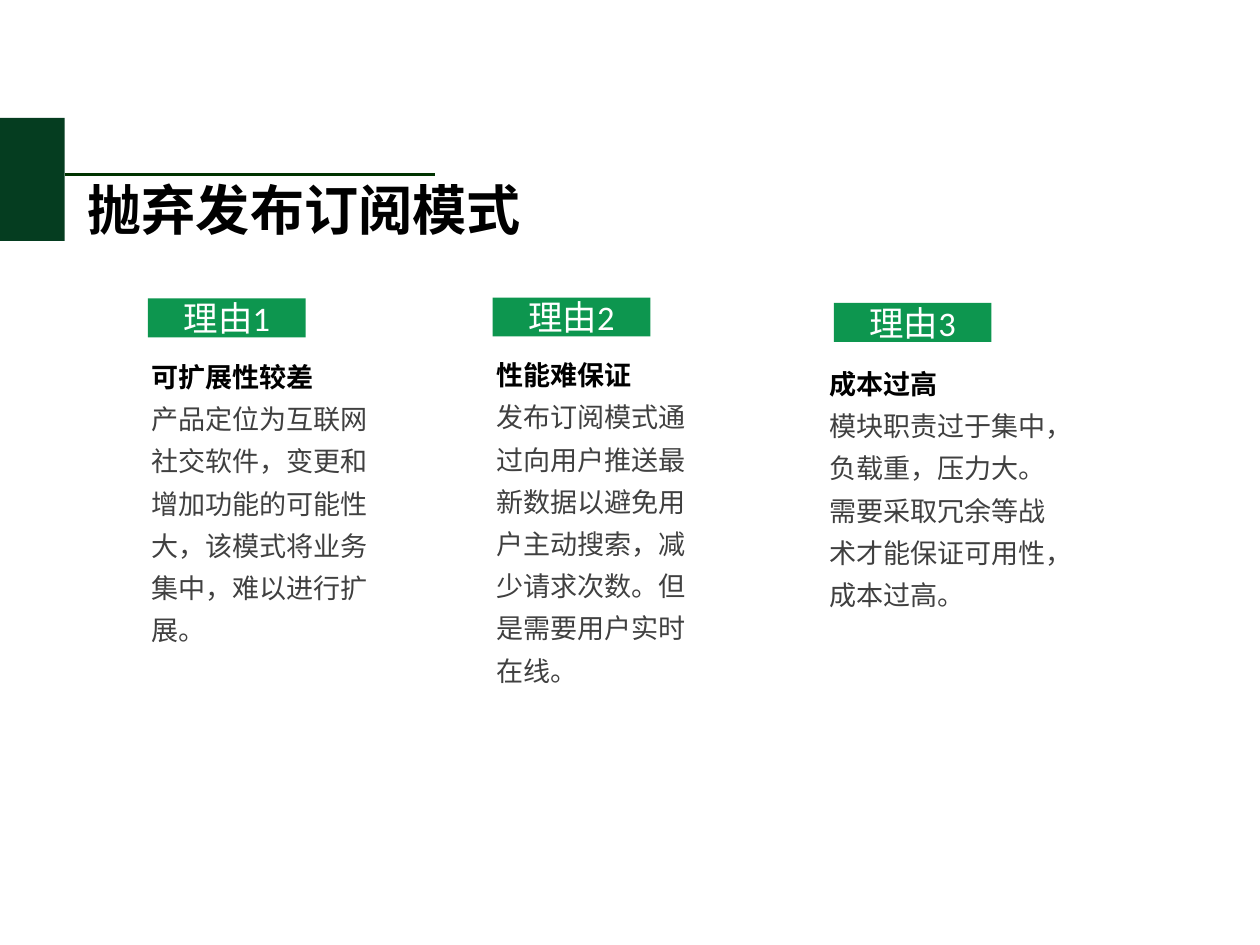
"""Build the slide giving three reasons to drop the publish-subscribe model."""
from dataclasses import dataclass

from lxml.etree import SubElement
from pptx import Presentation
from pptx.dml.color import RGBColor
from pptx.enum.shapes import MSO_CONNECTOR, MSO_SHAPE
from pptx.enum.text import MSO_ANCHOR, PP_ALIGN
from pptx.oxml.ns import qn
from pptx.util import Emu, Pt

TITLE = "抛弃发布订阅模式"
TAG_WORD = "理由"
REASONS = [
    {"number": "1", "tag": (167, 337), "body": (167, 392, 258, 345),
     "heading": "可扩展性较差",
     "detail": "产品定位为互联网社交软件，变更和增加功能的可能性大，该模式将业务集中，难以进行扩展。"},
    {"number": "2", "tag": (556, 336), "body": (556, 390, 244, 393),
     "heading": "性能难保证",
     "detail": "发布订阅模式通过向用户推送最新数据以避免用户主动搜索，减少请求次数。但是需要用户实时在线。"},
    {"number": "3", "tag": (941, 342), "body": (932, 400, 265, 297),
     "heading": "成本过高",
     "detail": "模块职责过于集中，负载重，压力大。需要采取冗余等战术才能保证可用性，成本过高。"},
]

SLIDE_SIZE = (1422, 1067)
BLOCK = (0, 133, 73, 139)
RULE = (73, 197, 491, 197)
TITLE_BOX = (94, 203, 577, 96)
TAG_WIDTH, TAG_HEIGHT, LABEL_HEIGHT = 178, 44, 58
EMU_PER_PX = 9144


@dataclass(frozen=True)
class Theme:
    """Colours, fonts and type sizes of the slide."""
    block: str = "053D20"
    rule: str = "003300"
    tag: str = "0D964F"
    heading: str = "000000"
    detail: str = "404040"
    label: str = "FFFFFF"
    chinese: str = "Noto Sans CJK SC"
    latin: str = "Calibri"
    title_size: int = 44
    label_size: int = 28
    body_size: int = 22


THEME = Theme()


def px(*lengths):
    """Turn px lengths into EMU."""
    return [Emu(length * EMU_PER_PX) for length in lengths]


def add_bar(shapes, bounds, color):
    """Add a plain filled rectangle."""
    bar = shapes.add_shape(MSO_SHAPE.RECTANGLE, *px(*bounds))
    bar.shadow.inherit = False
    bar.fill.solid()
    bar.fill.fore_color.rgb = RGBColor.from_string(color)
    bar.line.fill.background()


def add_rule(shapes, ends, color, weight):
    """Add a straight line without shadow."""
    rule = shapes.add_connector(MSO_CONNECTOR.STRAIGHT, *px(*ends))
    rule.line.color.rgb = RGBColor.from_string(color)
    rule.line.width = Pt(weight)
    SubElement(rule.element.spPr, qn("a:effectLst"))


def add_span(para, text, *, size, color, bold=False, font=THEME.chinese):
    """Add one formatted run to a paragraph."""
    span = para.add_run()
    span.text = text
    span.font.size = Pt(size)
    span.font.bold = bold
    span.font.name = font
    span.font.color.rgb = RGBColor.from_string(color)
    SubElement(span.font._element, qn("a:ea")).set("typeface", font)


def add_text(shapes, bounds, paragraphs, *, inset=5, spacing=1.0,
             align=PP_ALIGN.LEFT, anchor=MSO_ANCHOR.TOP):
    """Add a text box; each paragraph is a list of (text, format) spans."""
    frame = shapes.add_textbox(*px(*bounds)).text_frame
    frame.word_wrap = True
    frame.vertical_anchor = anchor
    (frame.margin_left, frame.margin_top,
     frame.margin_right, frame.margin_bottom) = px(*[inset] * 4)
    for index, spans in enumerate(paragraphs):
        para = frame.add_paragraph() if index else frame.paragraphs[0]
        para.alignment = align
        para.line_spacing = spacing
        for text, style in spans:
            add_span(para, text, **style)


def add_reason(shapes, reason):
    """Add a numbered tag with its heading and detail."""
    left, top = reason["tag"]
    group = shapes.add_group_shape().shapes
    add_bar(group, (left, top, TAG_WIDTH, TAG_HEIGHT), THEME.tag)
    label_top = top - (LABEL_HEIGHT - TAG_HEIGHT) // 2
    label = {"size": THEME.label_size, "color": THEME.label}
    add_text(group, (left, label_top, TAG_WIDTH, LABEL_HEIGHT),
             [[(TAG_WORD, label), (reason["number"], {**label, "font": THEME.latin})]],
             align=PP_ALIGN.CENTER, anchor=MSO_ANCHOR.MIDDLE)
    heading = {"size": THEME.body_size, "color": THEME.heading, "bold": True}
    detail = {"size": THEME.body_size, "color": THEME.detail}
    add_text(shapes, reason["body"],
             [[(reason["heading"], heading)], [(reason["detail"], detail)]],
             inset=4, spacing=1.3)


def main():
    """Build and save the deck."""
    deck = Presentation()
    deck.slide_width, deck.slide_height = px(*SLIDE_SIZE)
    page = deck.slides.add_slide(deck.slide_layouts[6])
    add_bar(page.shapes, BLOCK, THEME.block)
    add_rule(page.shapes, RULE, THEME.rule, 3)
    title = {"size": THEME.title_size, "color": THEME.heading, "bold": True}
    add_text(page.shapes, TITLE_BOX, [[(TITLE, title)]], spacing=0.9)
    for reason in REASONS:
        add_reason(page.shapes, reason)
    deck.save("out.pptx")


if __name__ == "__main__":
    main()
